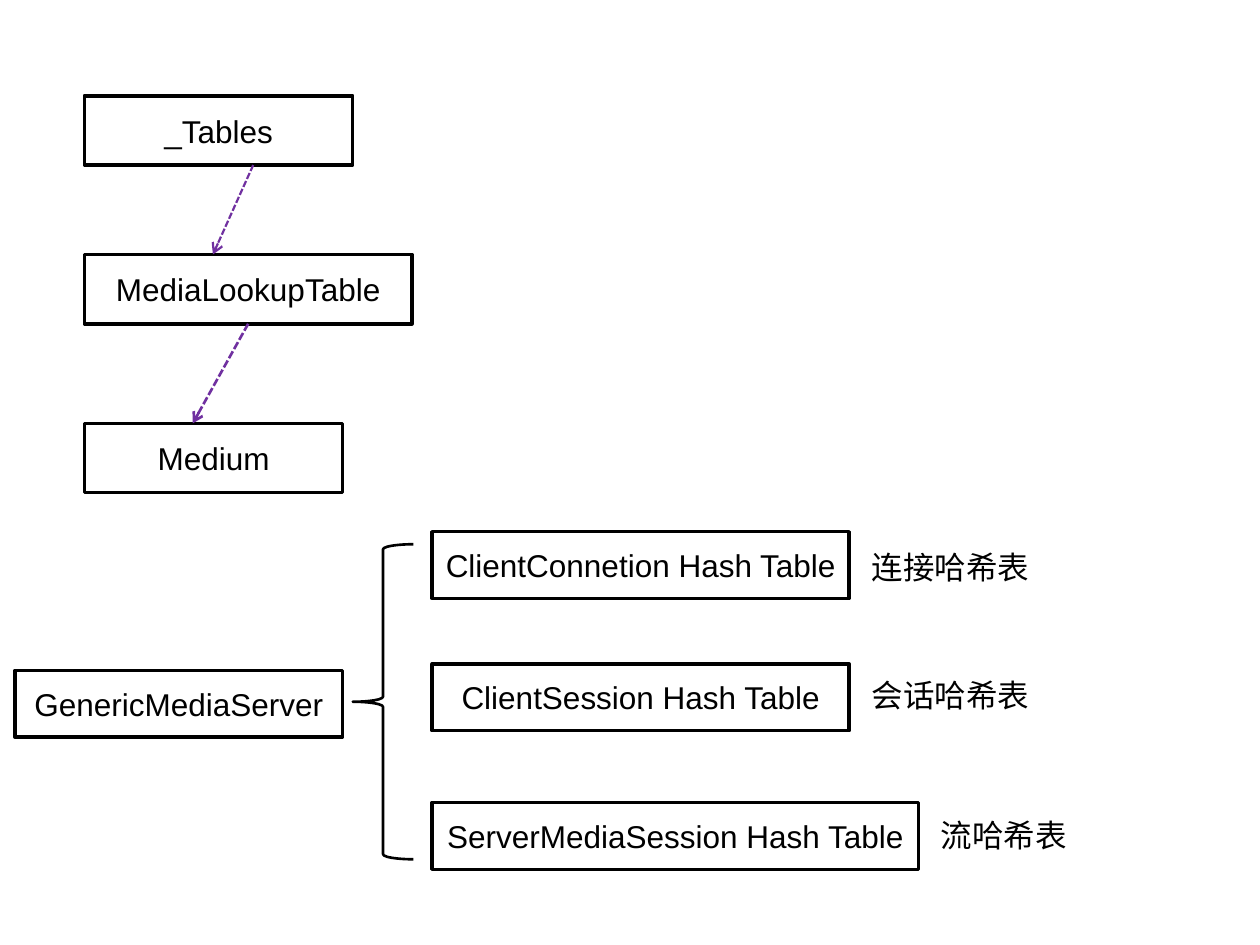
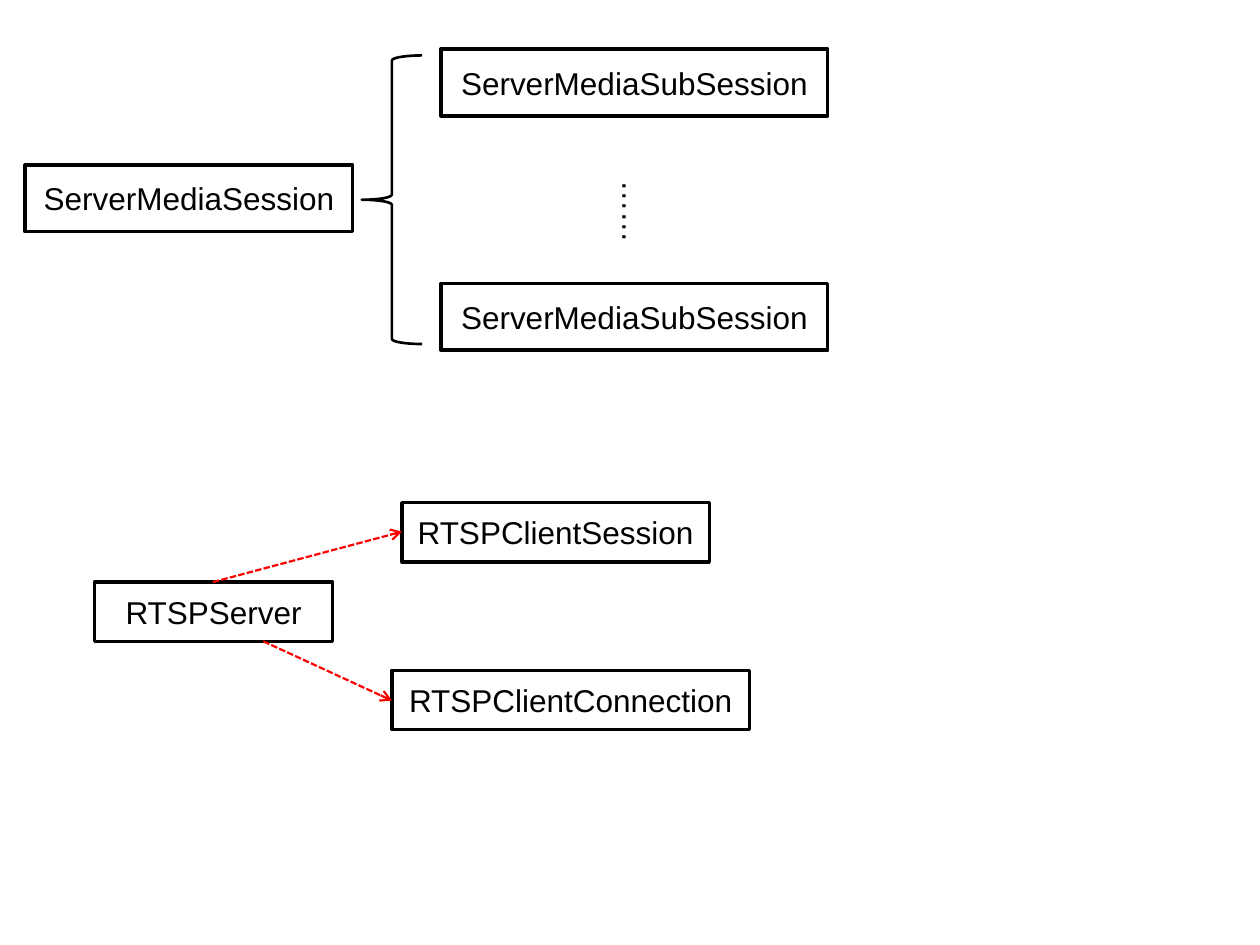
from dataclasses import dataclass
from pptx import Presentation
from pptx.dml.color import RGBColor
from pptx.enum.dml import MSO_LINE
from pptx.enum.shapes import MSO_CONNECTOR, MSO_SHAPE
from pptx.enum.text import MSO_ANCHOR, MSO_AUTO_SIZE, PP_ALIGN
from pptx.oxml.ns import qn
from pptx.util import Inches, Pt
from lxml.etree import SubElement


@dataclass(frozen=True)
class Theme:
    ink: RGBColor = RGBColor(0, 0, 0)
    paper: RGBColor = RGBColor(255, 255, 255)
    purple: RGBColor = RGBColor(0x70, 0x30, 0xA0)
    red: RGBColor = RGBColor(255, 0, 0)
    font: str = "Arial"
    text_size: Pt = Pt(18)
    box_line: Pt = Pt(2)
    brace_line: Pt = Pt(1.5)


theme = Theme()
deck = Presentation()
deck.slide_width, deck.slide_height = Inches(10), Inches(7.5)
COLUMN = deck.slide_width / 100
ROW = deck.slide_height / 75
TALL, MIDDLE, LOW = 5.5, 5.3, 4.7


def grid(left, top, width, height):
    return [round(left * COLUMN), round(top * ROW), round(width * COLUMN), round(height * ROW)]


def write(frame, words, align, frame_format):
    for attribute, value in frame_format.items():
        setattr(frame, attribute, value)
    paragraph = frame.paragraphs[0]
    paragraph.alignment = align
    run = paragraph.add_run()
    run.text = words
    for attribute, value in {"name": theme.font, "size": theme.text_size}.items():
        setattr(run.font, attribute, value)
    run.font.color.rgb = theme.ink


diagrams = [
    {
        "boxes": [
            ("Medium", 6.7, 33.6, 20.5, TALL, True),
            ("MediaLookupTable", 6.7, 20.2, 26, TALL, True),
            ("_Tables", 6.7, 7.6, 21.3, TALL, True),
            ("GenericMediaServer", 1.2, 53.2, 26, MIDDLE, False),
            ("ClientConnetion Hash Table", 34.3, 42.2, 33.1, MIDDLE, False),
            ("ClientSession Hash Table", 34.3, 52.7, 33.1, MIDDLE, False),
            ("ServerMediaSession Hash Table", 34.3, 63.7, 38.6, MIDDLE, False),
        ],
        "brace": (28, 43.2, 4.8, 25),
        "arrows": [
            (19.7, 25.7, 15.3, 33.6, theme.purple, 1.5),
            (20.1, 13.1, 16.9, 20.2, theme.purple, 1.25),
        ],
        "labels": [
            ("连接哈希表", 68.2, 43, 14.5, 4, "horz"),
            ("会话哈希表", 68.2, 53.2, 14.5, 4, "horz"),
            ("流哈希表", 73.7, 64.3, 12, 4, "horz"),
        ],
    },
    {
        "boxes": [
            ("ServerMediaSession", 2, 13.1, 26, MIDDLE, False),
            ("ServerMediaSubSession", 35, 22.5, 30.7, MIDDLE, False),
            ("ServerMediaSubSession", 35, 3.9, 30.7, MIDDLE, False),
            ("RTSPServer", 7.5, 46.2, 18.9, LOW, True),
            ("RTSPClientSession", 31.9, 39.9, 24.4, LOW, True),
            ("RTSPClientConnection", 31.1, 53.2, 28.4, LOW, True),
        ],
        "brace": (28.7, 4.4, 4.8, 22.9),
        "arrows": [
            (16.9, 46.2, 31.9, 42.2, theme.red, 1.25),
            (20.9, 50.9, 31.1, 55.6, theme.red, 1.25),
        ],
        "labels": [("……", 47.4, 13.3, 5, 6, "eaVert")],
    },
]

for diagram in diagrams:
    slide = deck.slides.add_slide(deck.slide_layouts[6])

    for name, left, top, width, height, filled in diagram["boxes"]:
        box = slide.shapes.add_shape(MSO_SHAPE.RECTANGLE, *grid(left, top, width, height))
        box.shadow.inherit = False
        if filled:
            box.fill.solid()
            box.fill.fore_color.rgb = theme.paper
        else:
            box.fill.background()
        box.line.color.rgb = theme.ink
        box.line.width = theme.box_line
        write(box.text_frame, name, PP_ALIGN.CENTER,
              {"vertical_anchor": MSO_ANCHOR.MIDDLE, "word_wrap": True})

    brace = slide.shapes.add_shape(MSO_SHAPE.LEFT_BRACE, *grid(*diagram["brace"]))
    brace.shadow.inherit = False
    brace.fill.background()
    brace.line.color.rgb = theme.ink
    brace.line.width = theme.brace_line

    for start_x, start_y, end_x, end_y, color, weight in diagram["arrows"]:
        arrow = slide.shapes.add_connector(
            MSO_CONNECTOR.STRAIGHT, *grid(start_x, start_y, end_x, end_y))
        arrow.line.color.rgb = color
        for attribute, value in {"width": Pt(weight), "dash_style": MSO_LINE.SQUARE_DOT}.items():
            setattr(arrow.line, attribute, value)
        SubElement(arrow.line._get_or_add_ln(), qn("a:tailEnd"), type="arrow")
        SubElement(arrow._element.spPr, qn("a:effectLst"))

    for words, left, top, width, height, direction in diagram["labels"]:
        label = slide.shapes.add_textbox(*grid(left, top, width, height))
        frame_format = {"word_wrap": False, "auto_size": MSO_AUTO_SIZE.SHAPE_TO_FIT_TEXT}
        if direction == "eaVert":
            frame_format.update(
                margin_left=Inches(0.05), margin_right=Inches(0.05),
                margin_top=Inches(0.1), margin_bottom=Inches(0.1))
        write(label.text_frame, words, PP_ALIGN.LEFT, frame_format)
        label.text_frame._txBody.bodyPr.set("vert", direction)

deck.save("out.pptx")
